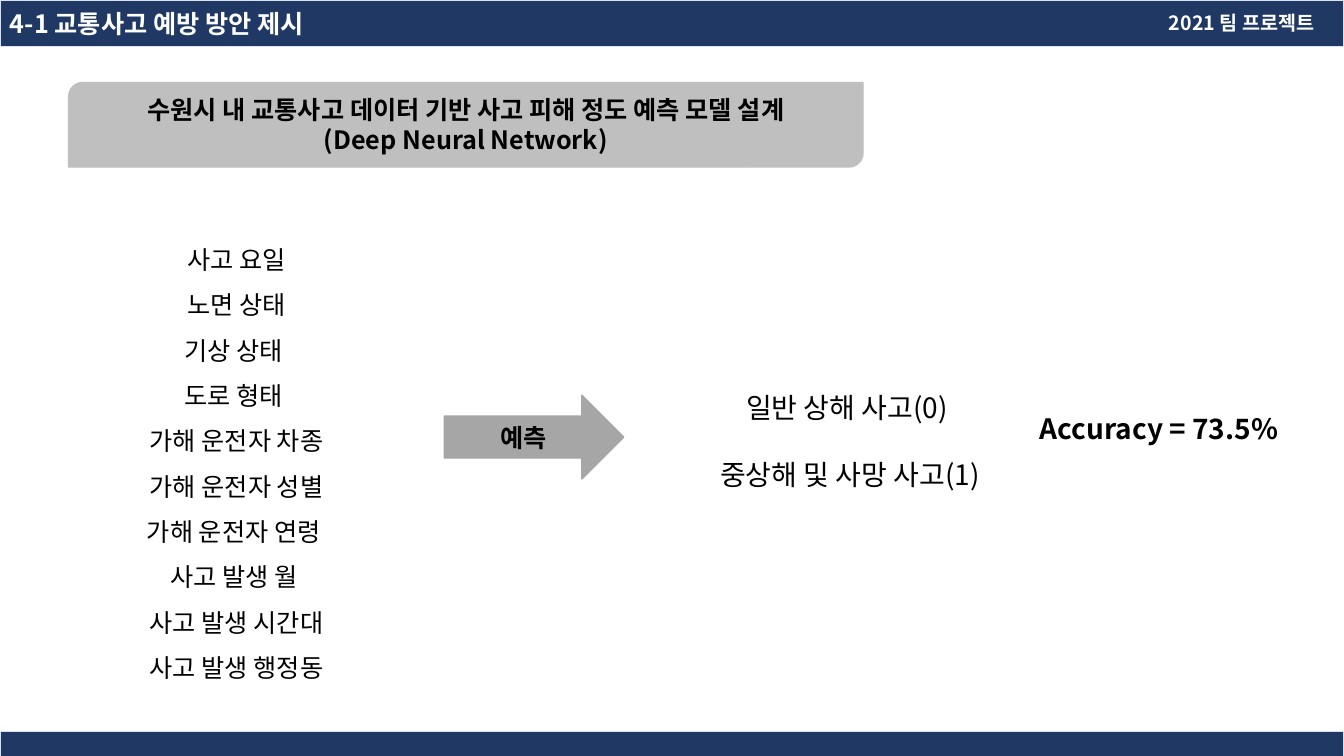
import pptx
import pptx.dml.color
import pptx.enum.shapes
import pptx.enum.text
import pptx.oxml.ns
import pptx.util
from lxml import etree

Cm = pptx.util.Cm
RGBColor = pptx.dml.color.RGBColor
SHAPE = pptx.enum.shapes.MSO_SHAPE
ALIGN = pptx.enum.text.PP_ALIGN
ANCHOR = pptx.enum.text.MSO_ANCHOR

FONT = "Noto Sans CJK KR"
NAVY = RGBColor(0x20, 0x38, 0x64)
PALE = RGBColor(0xDA, 0xE3, 0xF3)
SILVER = RGBColor(0xBF, 0xBF, 0xBF)
GRAY = RGBColor(0xA6, 0xA6, 0xA6)
BLACK = RGBColor(0, 0, 0)
WHITE = RGBColor(255, 255, 255)

WIDTH, HEIGHT = 33.87, 19.05
FACTORS = [
    "사고 요일", "노면 상태", "기상 상태 ", "도로 형태 ", "가해 운전자 차종",
    "가해 운전자 성별", "가해 운전자 연령 ", "사고 발생 월 ",
    "사고 발생 시간대", "사고 발생 행정동",
]


def place(shape, box):
    shape.left, shape.top, shape.width, shape.height = map(Cm, box)


def write(shape, lines, size, color=BLACK, bold=False, align=ALIGN.CENTER,
          anchor=ANCHOR.TOP, pitch=1.0, gap=0):
    """Fill the shape with one paragraph per line; gap is the points between them."""
    frame = shape.text_frame
    frame.word_wrap = True
    frame.auto_size = pptx.enum.text.MSO_AUTO_SIZE.NONE
    frame.vertical_anchor = anchor
    frame.margin_left = frame.margin_right = Cm(0.25)
    frame.margin_top = frame.margin_bottom = Cm(0.13)
    frame.text = "\n".join(lines)
    for rank, para in enumerate(frame.paragraphs):
        para.alignment = align
        para.line_spacing = pitch
        para.space_before = pptx.util.Pt(gap if rank else 0)
        for run in para.runs:
            font = run.font
            font.size, font.bold, font.name = pptx.util.Pt(size), bold, FONT
            font.color.rgb = color
            east = etree.SubElement(font._element, pptx.oxml.ns.qn("a:ea"))
            east.set("typeface", FONT)


def add_block(slide, kind, box, fill, line):
    shape = slide.shapes.add_shape(kind, *map(Cm, box))
    shape.shadow.inherit = False
    shape.fill.solid()
    shape.fill.fore_color.rgb = fill
    shape.line.color.rgb = line
    shape.line.width = pptx.util.Pt(1)
    return shape


def add_label(slide, box, lines, size, **style):
    write(slide.shapes.add_textbox(*map(Cm, box)), lines, size, **style)


def add_header(slide, box):
    left, top, width, height = box
    add_block(slide, SHAPE.RECTANGLE, box, NAVY, PALE)
    title = slide.shapes.title
    slide.shapes._spTree.append(title._element)  # in front of the bar
    place(title, (left, top + 0.08, 17.5, 1.02))
    write(title, ["4-1 교통사고 예방 방안 제시"], 18, color=WHITE, bold=True,
          align=ALIGN.LEFT)
    add_label(slide, (left + width - 4.66, top + 0.15, 4.66, 0.86),
              ["2021 팀 프로젝트"], 14, color=WHITE, bold=True, align=ALIGN.LEFT)


def add_banner(slide, box):
    banner = add_block(slide, SHAPE.ROUND_2_DIAG_RECTANGLE, box, SILVER, SILVER)
    write(banner, ["수원시 내 교통사고 데이터 기반 사고 피해 정도 예측 모델 설계",
                   "(Deep Neural Network)"], 18, bold=True, anchor=ANCHOR.MIDDLE)


def add_factors(slide, box):
    body = slide.placeholders[1]
    place(body, box)
    write(body, FACTORS, 18, pitch=1.5)
    for para in body.text_frame.paragraphs:
        props = para._p.get_or_add_pPr()
        props.set("marL", "0")
        props.set("indent", "0")
        etree.SubElement(props, pptx.oxml.ns.qn("a:buNone"))


def add_result(slide, box):
    """Place the arrow, the two outcomes and the accuracy from left to right."""
    left, top = box[:2]
    arrow = add_block(slide, SHAPE.RIGHT_ARROW, (left, top + 0.26, 4.52, 2.11),
                      GRAY, GRAY)
    write(arrow, ["예측"], 18, bold=True, anchor=ANCHOR.MIDDLE)
    add_label(slide, (left + 6.3, top, 7.85, 2.82),
              ["일반 상해 사고(0) ", "중상해 및 사망 사고(1)"], 20, gap=24)
    add_label(slide, (left + 14.43, top + 0.54, 7.16, 1.12),
              ["Accuracy = 73.5%"], 20, bold=True)


def main():
    deck = pptx.Presentation()
    deck.slide_width, deck.slide_height = Cm(WIDTH), Cm(HEIGHT)
    slide = deck.slides.add_slide(deck.slide_layouts[1])
    add_header(slide, (0, 0, WIDTH, 1.17))
    add_block(slide, SHAPE.RECTANGLE, (0, 18.44, WIDTH, 0.74), NAVY, PALE)
    add_banner(slide, (1.73, 2.08, 20.02, 2.13))
    add_factors(slide, (1.17, 5.64, 9.58, 11.66))
    add_result(slide, (11.2, 9.7, 21.59, 2.82))
    deck.save("out.pptx")


if __name__ == "__main__":
    main()
